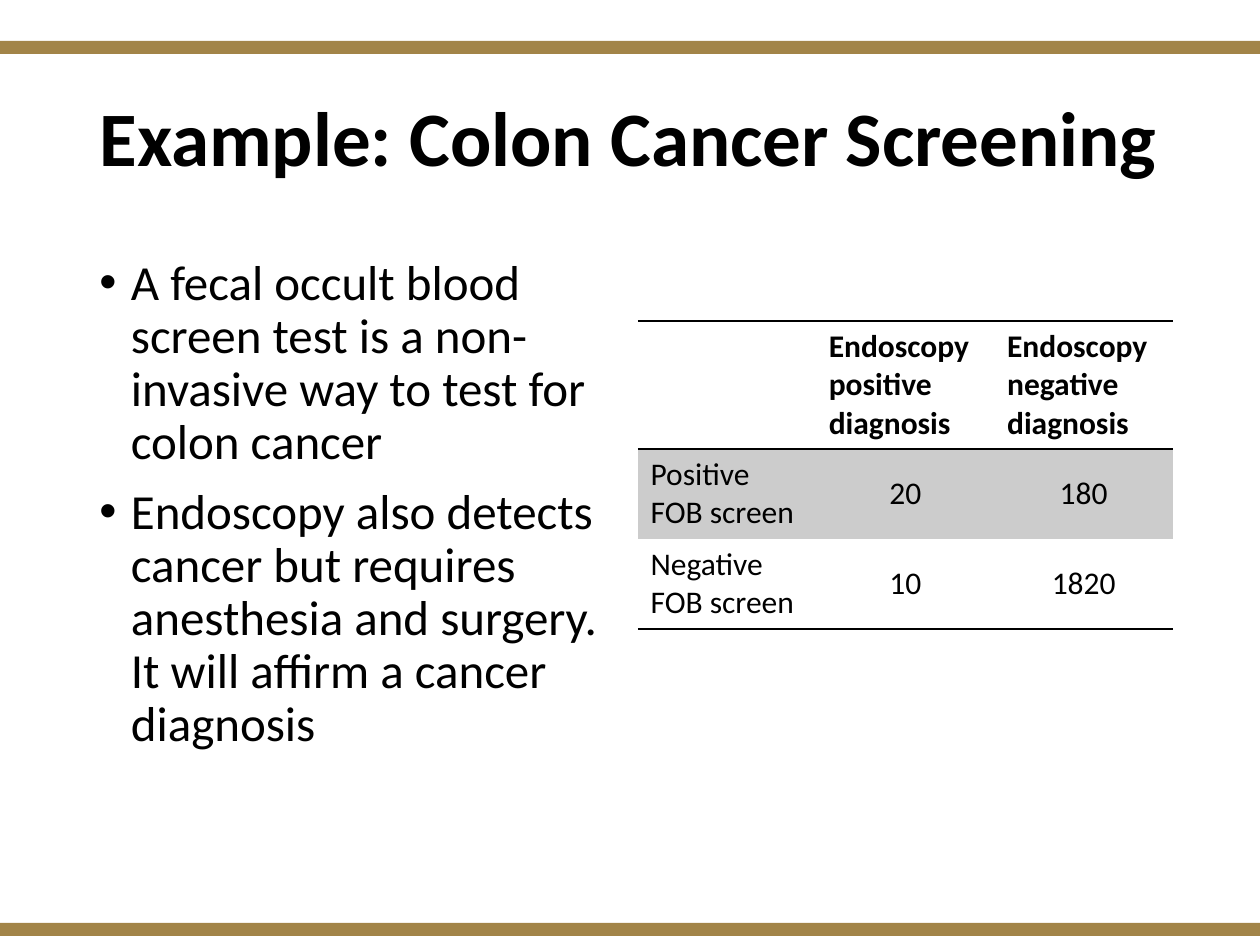
import lxml.etree
import pptx
import pptx.dml.color
import pptx.enum.shapes
import pptx.enum.text
import pptx.oxml
import pptx.oxml.ns
import pptx.util

PIXEL = 914400 // 126
FONT = "Calibri"
BLACK = "000000"
GOLD = "A28448"
BAND_GREY = "CCCCCC"
NO_STYLE = "{2D5ABB26-0587-4C30-8999-92F81FD0307C}"


def color(hex_string):
    """Return the colour for a hex string."""
    return pptx.dml.color.RGBColor.from_string(hex_string)


def format_runs(paragraph, size, bold=False):
    """Give every run of a paragraph the slide font, a size and a weight."""
    for run in paragraph.runs:
        run.font.name = FONT
        run.font.size = pptx.util.Pt(size)
        run.font.bold = bold
        run.font.color.rgb = color(BLACK)


presentation = pptx.Presentation()
presentation.slide_width = 1260 * PIXEL
presentation.slide_height = 945 * PIXEL
slide = presentation.slides.add_slide(presentation.slide_layouts[5])

# Gold bars
for top in (923, 41):
    bar = slide.shapes.add_shape(
        pptx.enum.shapes.MSO_SHAPE.RECTANGLE, 0, top * PIXEL, 1260 * PIXEL, 13 * PIXEL)
    bar.shadow.inherit = False
    bar.fill.solid()
    bar.fill.fore_color.rgb = color(GOLD)
    bar.line.fill.background()

# Title
title = slide.shapes.title
title.left, title.top = 87 * PIXEL, 50 * PIXEL
title.width, title.height = 1086 * PIXEL, 183 * PIXEL
title.text_frame.text = "Example: Colon Cancer Screening"
title.text_frame.auto_size = pptx.enum.text.MSO_AUTO_SIZE.NONE
title.text_frame.vertical_anchor = pptx.enum.text.MSO_ANCHOR.MIDDLE
title_paragraph = title.text_frame.paragraphs[0]
title_paragraph.alignment = pptx.enum.text.PP_ALIGN.LEFT
title_paragraph.line_spacing = 0.9
format_runs(title_paragraph, 44, bold=True)

# Bullet list
bullets = [
    "A fecal occult blood screen test is a non-invasive way to test for colon cancer",
    "Endoscopy also detects cancer but requires anesthesia and surgery. "
    "It will affirm a cancer diagnosis",
]
body = slide.shapes.add_textbox(87 * PIXEL, 252 * PIXEL, 536 * PIXEL, 600 * PIXEL)
body.text_frame.word_wrap = True
body.text_frame.text = "\n".join(bullets)
for paragraph in body.text_frame.paragraphs:
    paragraph.line_spacing = 0.9
    paragraph.space_before = pptx.util.Pt(10)
    format_runs(paragraph, 28)
    properties = paragraph._p.get_or_add_pPr()
    properties.set("marL", str(pptx.util.Inches(0.25)))
    properties.set("indent", str(-pptx.util.Inches(0.25)))
    bullet_font = lxml.etree.SubElement(properties, pptx.oxml.ns.qn("a:buFont"))
    bullet_font.set("typeface", "Arial")
    bullet = lxml.etree.SubElement(properties, pptx.oxml.ns.qn("a:buChar"))
    bullet.set("char", "\u2022")

# Screening table
rows = [
    ["", "Endoscopy positive diagnosis", "Endoscopy negative diagnosis"],
    ["Positive FOB screen", "20", "180"],
    ["Negative FOB screen", "10", "1820"],
]
row_heights = [128, 90, 90]
row_borders = [("lnB", "lnT"), (), ("lnB",)]
table_frame = slide.shapes.add_table(
    3, 3, 638 * PIXEL, 321 * PIXEL, 535 * PIXEL, sum(row_heights) * PIXEL)
table = table_frame.table
table.horz_banding = False
table._tbl.tblPr.find(pptx.oxml.ns.qn("a:tableStyleId")).text = NO_STYLE
for column in table.columns:
    column.width = 535 * PIXEL // 3

for row_index, texts in enumerate(rows):
    table.rows[row_index].height = row_heights[row_index] * PIXEL
    for column_index, text in enumerate(texts):
        cell = table.cell(row_index, column_index)
        cell.text = text
        paragraph = cell.text_frame.paragraphs[0]
        format_runs(paragraph, 18, bold=row_index == 0)
        if row_index > 0 and column_index > 0:
            paragraph.alignment = pptx.enum.text.PP_ALIGN.CENTER
            cell.vertical_anchor = pptx.enum.text.MSO_ANCHOR.MIDDLE
        if row_index == 1:
            cell.fill.solid()
            cell.fill.fore_color.rgb = color(BAND_GREY)
        else:
            cell.fill.background()
        for side in row_borders[row_index]:
            border = pptx.oxml.parse_xml(
                f'<a:{side} {pptx.oxml.ns.nsdecls("a")} w="12700"><a:solidFill>'
                f'<a:srgbClr val="{BLACK}"/></a:solidFill></a:{side}>')
            cell._tc.get_or_add_tcPr().insert(0, border)

presentation.save("out.pptx")
